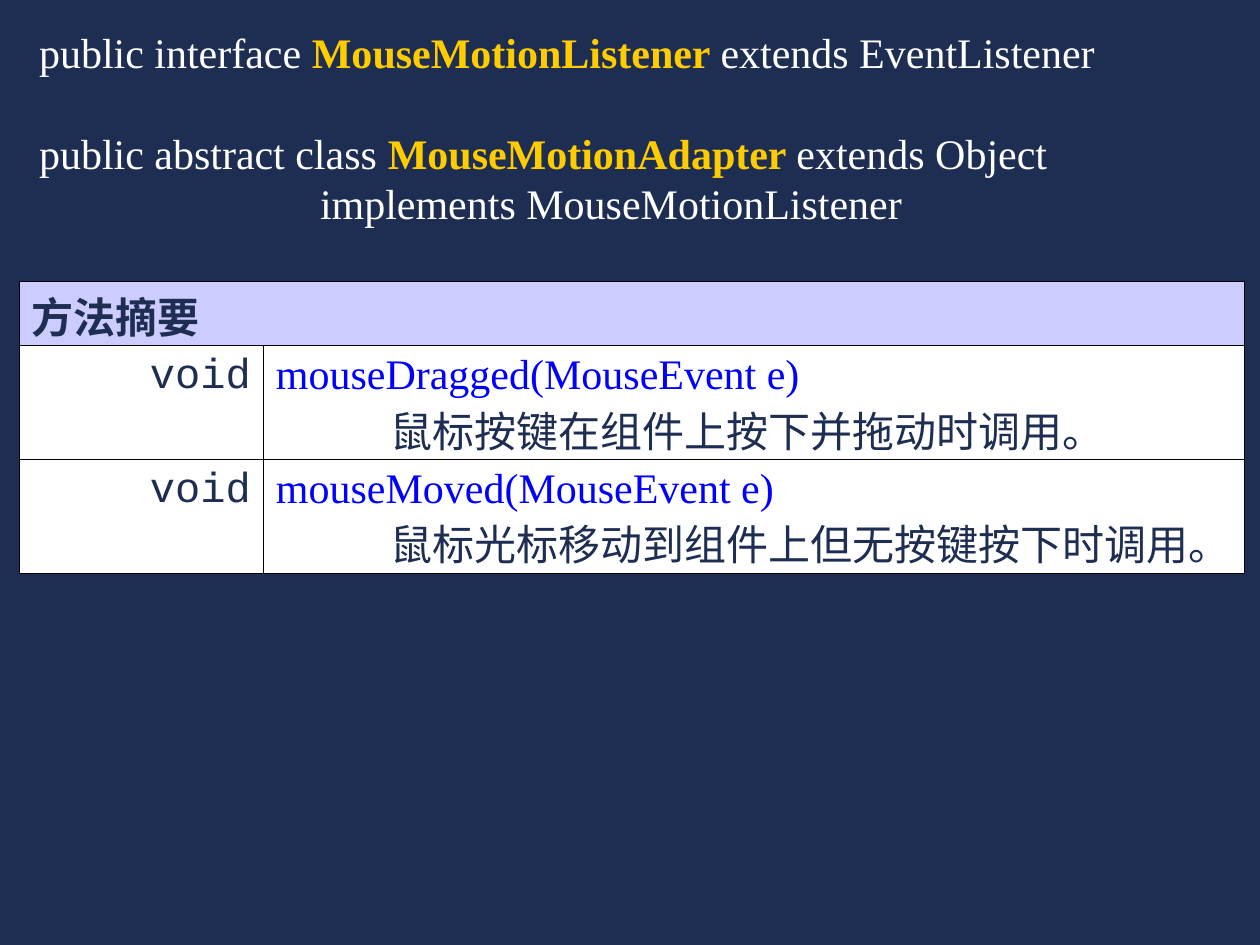
from pptx import Presentation
from pptx.dml.color import RGBColor
from pptx.enum.text import MSO_ANCHOR, MSO_AUTO_SIZE, PP_ALIGN
from pptx.oxml import parse_xml
from pptx.oxml.ns import nsdecls
from pptx.util import Inches, Pt

NAVY, WHITE, GOLD, BLUE, LILAC = "1E2E53", "FFFFFF", "FFCC00", "0000FF", "CCCCFF"
SERIF, MONO = "Times New Roman", "Courier New"


def paint(color, value):
    color.rgb = RGBColor.from_string(value)


def write(paragraph, text, color, bold=False, name=SERIF):
    run = paragraph.add_run()
    run.text = text
    for key, value in {"size": Pt(24), "bold": bold, "name": name}.items():
        setattr(run.font, key, value)
    paint(run.font.color, color)


prs = Presentation()
prs.slide_width, prs.slide_height = Inches(10), Inches(7.5)
slide = prs.slides.add_slide(prs.slide_layouts[5])
slide.background.fill.solid()
paint(slide.background.fill.fore_color, NAVY)

# Declarations of the interface and its adapter
declarations = [
    ("public interface ", "MouseMotionListener ", "extends EventListener", PP_ALIGN.LEFT, 0),
    ("public abstract class ", "MouseMotionAdapter ", "extends Object", PP_ALIGN.LEFT, 28.8),
    ("", "", "implements MouseMotionListener", PP_ALIGN.CENTER, 0),
]
heading = slide.shapes.title
place = {"left": 0.21, "top": 0.16, "width": 9.28, "height": 1.7}
for side, inches in place.items():
    setattr(heading, side, Inches(inches))
frame = heading.text_frame
frame_format = {"auto_size": MSO_AUTO_SIZE.NONE, "word_wrap": True,
                "vertical_anchor": MSO_ANCHOR.MIDDLE}
for key, value in frame_format.items():
    setattr(frame, key, value)
for i, (opening, type_name, ending, align, gap) in enumerate(declarations):
    line = frame.paragraphs[0] if i == 0 else frame.add_paragraph()
    line_format = {"alignment": align, "line_spacing": Pt(28.8), "space_before": Pt(gap)}
    for key, value in line_format.items():
        setattr(line, key, value)
    for text, color, bold in ((opening, WHITE, False), (type_name, GOLD, True), (ending, WHITE, False)):
        if text:
            write(line, text, color, bold)

# Method summary table
methods = [
    ("void", "mouseDragged(MouseEvent e)", "鼠标按键在组件上按下并拖动时调用。"),
    ("void", "mouseMoved(MouseEvent e)", "鼠标光标移动到组件上但无按键按下时调用。"),
]
columns, rows = [1.94, 7.79], [0.51] + [0.9] * len(methods)
summary = slide.shapes.add_table(
    len(rows), len(columns), Inches(0.15), Inches(2.23),
    Inches(sum(columns)), Inches(sum(rows))).table
for column, width in zip(summary.columns, columns):
    column.width = Inches(width)
for row, height in zip(summary.rows, rows):
    row.height = Inches(height)

# Cell borders, fills and margins that keep the rows at their height
for r in range(len(rows)):
    for cell in summary.rows[r].cells:
        for edge in "LRTB":
            cell._tc.get_or_add_tcPr().append(parse_xml(
                f'<a:ln{edge} {nsdecls("a")} w="5715"><a:solidFill>'
                f'<a:srgbClr val="000000"/></a:solidFill></a:ln{edge}>'))
        cell.fill.solid()
        paint(cell.fill.fore_color, WHITE if r else LILAC)
        cell_format = {"vertical_anchor": MSO_ANCHOR.MIDDLE, "margin_bottom": 0,
                       "margin_top": Inches(0.05 if r else 0.03)}
        for key, value in cell_format.items():
            setattr(cell, key, value)

# Table header
header = summary.cell(0, 0)
header.merge(summary.cell(0, 1))
write(header.text_frame.paragraphs[0], "方法摘要", NAVY, bold=True)

# One row per method: return type, signature and indented description
for r, (return_type, signature, description) in enumerate(methods, 1):
    type_cell, method_cell = summary.rows[r].cells
    type_cell.vertical_anchor = MSO_ANCHOR.TOP
    type_cell.margin_top = Inches(0.06)
    returned = type_cell.text_frame.paragraphs[0]
    returned.alignment = PP_ALIGN.RIGHT
    write(returned, return_type, NAVY, name=MONO)
    write(method_cell.text_frame.paragraphs[0], signature, BLUE)
    explained = method_cell.text_frame.add_paragraph()
    explained._p.get_or_add_pPr().set("marL", str(Inches(0.91)))
    write(explained, description, NAVY)

prs.save("out.pptx")
